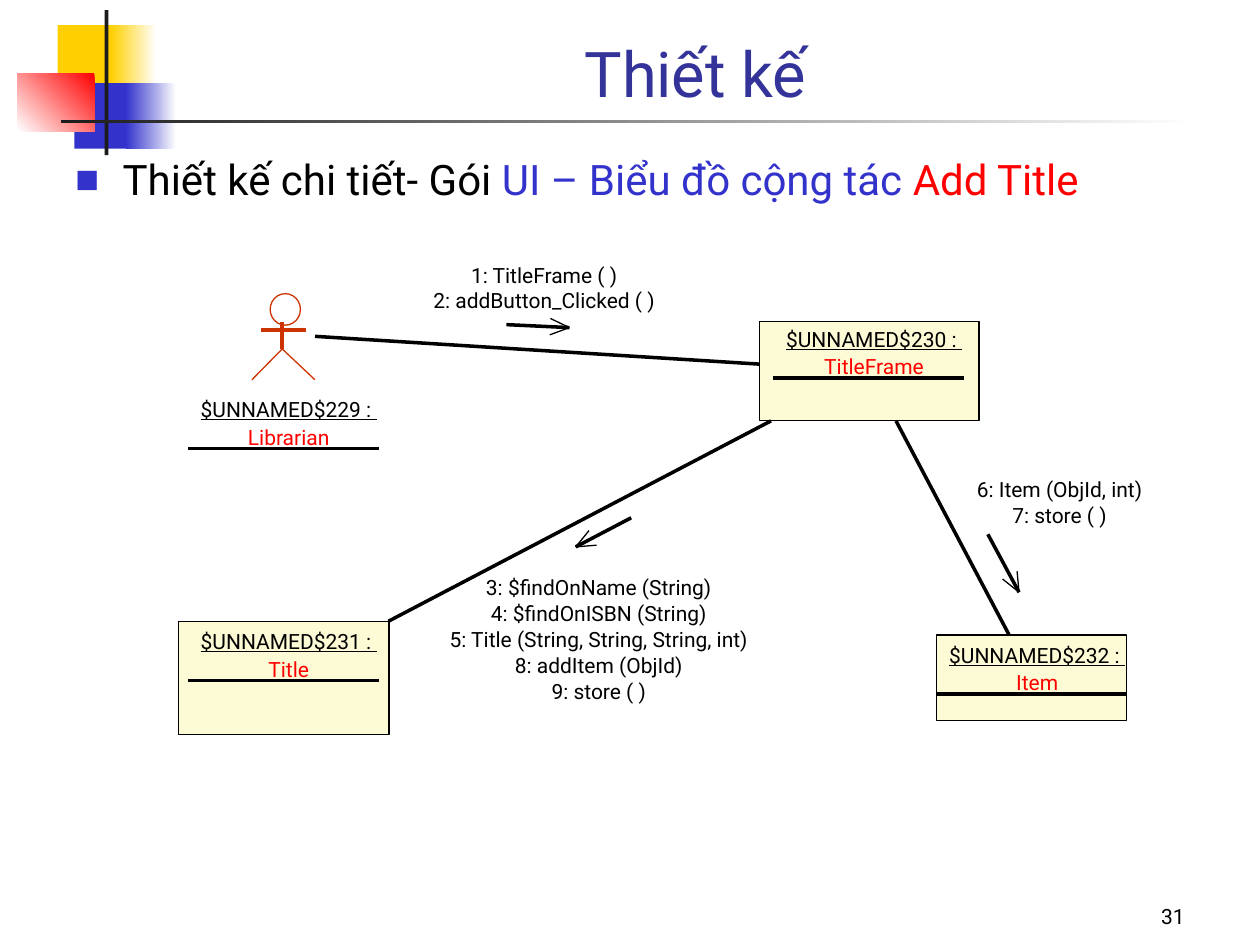
import math

import pptx
import pptx.dml.color
import pptx.enum.shapes
import pptx.enum.text
import pptx.oxml.ns
import pptx.util
from lxml import etree

Pt = pptx.util.Pt
SHAPE = pptx.enum.shapes.MSO_SHAPE
ALIGN = pptx.enum.text.PP_ALIGN
ANCHOR = pptx.enum.text.MSO_ANCHOR
FONT = "Roboto"
BLACK, WHITE, RED, BLUE = "000000", "FFFFFF", "FF0000", "3333CC"
DARK, YELLOW, CREAM, ACTOR = "1C1C1C", "FFCF01", "FDFBD5", "CC3300"


def colour(hex_value):
    return pptx.dml.color.RGBColor.from_string(hex_value)


def style_run(span, size, hex_value, underline=None):
    span.font.name = FONT
    span.font.size = Pt(size)
    span.font.color.rgb = colour(hex_value)
    span.font.underline = underline


def add_box(slide, preset, place, fill=None, line=None, fade_angle=None):
    """Preset shape; with a fade angle the fill fades to white."""
    shape = slide.shapes.add_shape(preset, *map(Pt, place))
    shape.shadow.inherit = False
    if fill is None:
        shape.fill.background()
    elif fade_angle is None:
        shape.fill.solid()
        shape.fill.fore_color.rgb = colour(fill)
    else:
        shape.fill.gradient()
        for stop, hex_value in zip(shape.fill.gradient_stops, (fill, WHITE)):
            stop.color.rgb = colour(hex_value)
        shape.fill.gradient_angle = fade_angle
    if line is None:
        shape.line.fill.background()
    else:
        shape.line.color.rgb = colour(line)
        shape.line.width = Pt(0)


def add_line(slide, start, end, hex_value=BLACK, width=0):
    line = slide.shapes.add_connector(
        pptx.enum.shapes.MSO_CONNECTOR.STRAIGHT, *map(Pt, start + end))
    line.line.color.rgb = colour(hex_value)
    line.line.width = Pt(width)
    etree.SubElement(line._element.spPr, pptx.oxml.ns.qn("a:effectLst"))


def add_arrow(slide, start, end):
    """Shaft with an open head made of two barbs."""
    add_line(slide, start, end)
    back = math.atan2(start[1] - end[1], start[0] - end[0])
    for turn in (-1, 1):
        angle = back + turn * math.radians(23)
        tip = (end[0] + 12 * math.cos(angle), end[1] + 12 * math.sin(angle))
        add_line(slide, end, tip, width=0.75)


def add_label(slide, text, centre, top, width, hex_value=BLACK, underline=None):
    box = slide.shapes.add_textbox(
        Pt(centre - width / 2), Pt(top), Pt(width), Pt(14.4))
    frame = box.text_frame
    frame.margin_left = frame.margin_right = 0
    frame.margin_top = frame.margin_bottom = 0
    frame.word_wrap = False
    frame.auto_size = pptx.enum.text.MSO_AUTO_SIZE.SHAPE_TO_FIT_TEXT
    para = frame.paragraphs[0]
    para.text = text
    para.alignment = ALIGN.CENTER
    style_run(para.runs[0], 12, hex_value, underline)


def add_messages(slide, centre, top, messages):
    for row, (text, width) in enumerate(messages):
        add_label(slide, text, centre, top + row * 14.8, width)


def add_object(slide, name, kind, kind_width, centre, top, frame=None):
    """Underlined object name and class, with a rule and maybe a frame."""
    if frame:
        add_box(slide, SHAPE.RECTANGLE, frame, CREAM, BLACK)
    add_label(slide, name, centre, top, 105, BLACK, True)
    add_label(slide, kind, centre, top + 15.6, kind_width, RED, True)
    rule_left, rule_top = centre - 57.5, top + 29.5
    add_line(slide, (rule_left, rule_top), (rule_left + 109, rule_top))


def add_decoration(slide):
    blocks = [
        ((33, 14.4, 35, 37.4), YELLOW, None),
        ((63.4, 14.4, 26, 37.4), YELLOW, 0),
        ((42.5, 47.5, 33, 37.4), BLUE, None),
        ((72, 47.5, 28.8, 37.4), BLUE, 0),
        ((10, 41.8, 44, 33.1), RED, 225),
        ((59.8, 5.8, 2.2, 82.8), DARK, None),
        ((34.6, 68.4, 648, 2.2), DARK, 0),
    ]
    for place, fill, fade_angle in blocks:
        add_box(slide, SHAPE.RECTANGLE, place, fill, fade_angle=fade_angle)


def add_title(slide):
    title = slide.shapes.title
    title.left, title.top, title.width, title.height = map(
        Pt, (90.7, 5.8, 613.4, 60.5))
    title.text_frame.text = "Thiết kế"
    title.text_frame.vertical_anchor = ANCHOR.BOTTOM
    para = title.text_frame.paragraphs[0]
    para.alignment = ALIGN.CENTER
    style_run(para.runs[0], 36, "333399")


def add_heading(slide):
    box = slide.shapes.add_textbox(*map(Pt, (36, 84.2, 660.2, 426.2)))
    box.text_frame.word_wrap = True
    para = box.text_frame.paragraphs[0]
    properties = para._p.get_or_add_pPr()
    properties.set("marL", str(Pt(27)))
    properties.set("indent", str(Pt(-27)))
    bullet_colour = etree.SubElement(properties, pptx.oxml.ns.qn("a:buClr"))
    for parent, tag, key, value in (
            (bullet_colour, "a:srgbClr", "val", BLUE),
            (properties, "a:buSzPct", "val", "60000"),
            (properties, "a:buFont", "typeface", FONT),
            (properties, "a:buChar", "char", "■")):
        etree.SubElement(parent, pptx.oxml.ns.qn(tag)).set(key, value)
    for text, hex_value in (("Thiết kế chi tiết- Gói ", BLACK),
                            ("UI – Biểu đồ cộng tác ", BLUE),
                            ("Add Title", RED)):
        span = para.add_run()
        span.text = text
        style_run(span, 24, hex_value)


def add_actor(slide):
    add_box(slide, SHAPE.OVAL, (154.4, 167.8, 17.3, 18), line=ACTOR)
    add_line(slide, (161.3, 184), (161.3, 199.4), ACTOR)
    add_line(slide, (149, 188.6), (175, 188.6), ACTOR)
    builder = slide.shapes.build_freeform(Pt(144), Pt(217))
    builder.add_line_segments(
        [(Pt(161.3), Pt(199.4)), (Pt(180), Pt(217))], close=False)
    legs = builder.convert_to_shape()
    legs.shadow.inherit = False
    legs.fill.background()
    legs.line.color.rgb = colour(ACTOR)
    legs.line.width = Pt(0)


def add_page_number(slide):
    box = slide.shapes.add_textbox(*map(Pt, (534.2, 498.2, 149.8, 36)))
    box.text_frame.word_wrap = True
    box.text_frame.vertical_anchor = ANCHOR.BOTTOM
    para = box.text_frame.paragraphs[0]
    para.text = "31"
    para.alignment = ALIGN.RIGHT
    style_run(para.runs[0], 12, BLACK)


def main():
    deck = pptx.Presentation()
    deck.slide_width, deck.slide_height = Pt(720), Pt(540)
    slide = deck.slides.add_slide(deck.slide_layouts[5])
    add_decoration(slide)
    add_title(slide)
    add_heading(slide)

    # Actor and objects
    add_actor(slide)
    add_object(slide, "$UNNAMED$229 : ", "Librarian", 50.4, 165, 226.8)
    add_object(slide, "$UNNAMED$230 : ", "TitleFrame", 59.8, 499.5, 186.5,
               (434.2, 183.6, 125.3, 56.9))
    add_object(slide, "$UNNAMED$231 : ", "Title", 23.8, 165, 359.3,
               (102.2, 355, 120.2, 64.8))
    add_object(slide, "$UNNAMED$232 : ", "Item", 26.6, 592.7, 367.2,
               (535, 362.9, 108.7, 49))

    # Links between objects
    add_line(slide, (180, 192.2), (434.2, 208.1))
    add_line(slide, (440.6, 240.5), (222, 355))
    add_line(slide, (512, 240.5), (576.7, 362.9))

    # Messages with their direction arrows
    add_arrow(slide, (289.4, 185.5), (325.4, 187.2))
    add_messages(slide, 311, 149.8, [
        ("1: TitleFrame ( )", 86.4), ("2: addButton_Clicked ( )", 132.5)])
    add_arrow(slide, (360.7, 295.9), (329, 312.5))
    add_messages(slide, 342.2, 328.3, [
        ("3: $findOnName (String)", 136.8),
        ("4: $findOnISBN (String)", 130.3),
        ("5: Title (String, String, String, int)", 182.9),
        ("8: addItem (ObjId)", 103),
        ("9: store ( )", 55.4)])
    add_arrow(slide, (564.5, 305.3), (582.3, 338.4))
    add_messages(slide, 605.5, 272.2, [
        ("6: Item (ObjId, int)", 102.2), ("7: store ( )", 55.4)])

    add_page_number(slide)
    deck.save("out.pptx")


if __name__ == "__main__":
    main()
